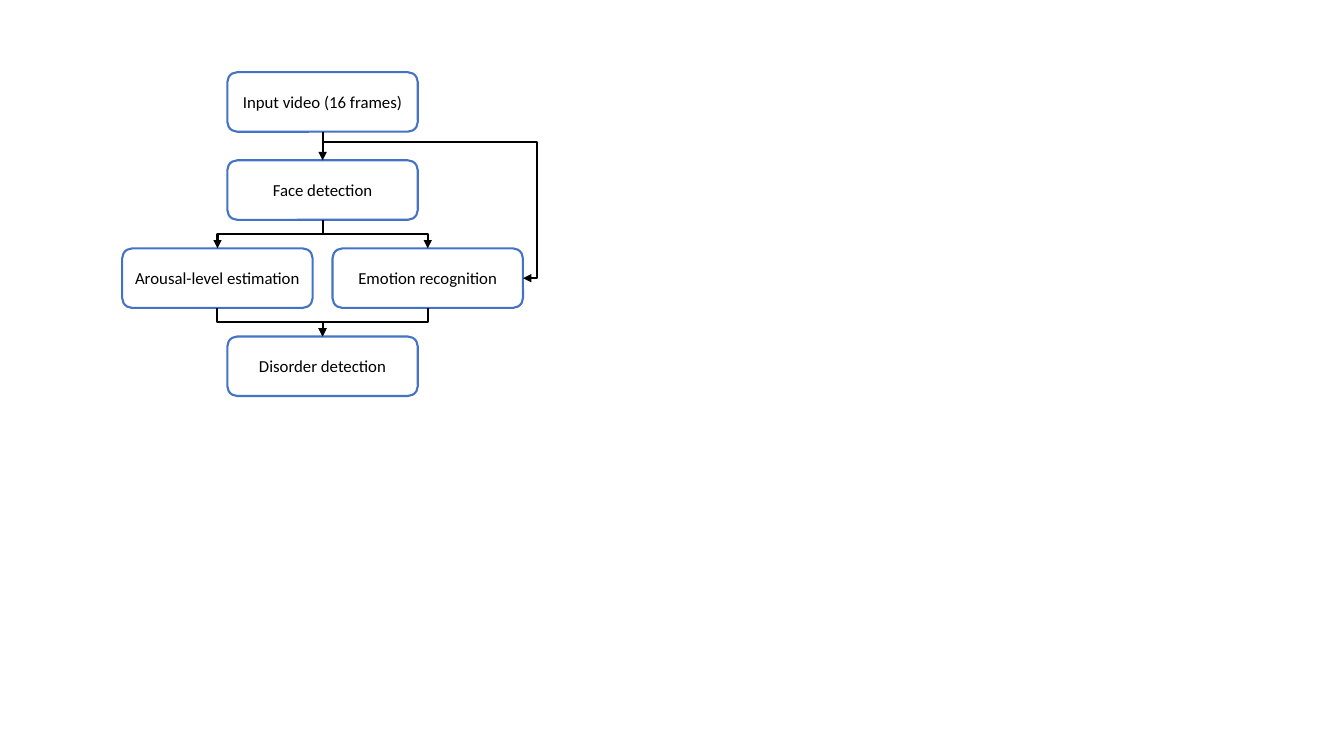
from lxml.etree import SubElement
from pptx import Presentation
from pptx.dml.color import RGBColor
from pptx.enum.shapes import MSO_CONNECTOR, MSO_SHAPE
from pptx.enum.text import MSO_ANCHOR, PP_ALIGN
from pptx.oxml.ns import qn
from pptx.util import Cm, Pt

# name: (text, column, row); column 0 is the centre
STEPS = {
    "input": ("Input video (16 frames)", 0, 0),
    "face": ("Face detection", 0, 1),
    "arousal": ("Arousal-level estimation", -1, 2),
    "emotion": ("Emotion recognition", 1, 2),
    "disorder": ("Disorder detection", 0, 3),
}
TOP, LEFT, BOTTOM, RIGHT = range(4)
# from, to, side entered, bend positions in thousandths of a percent
LINKS = [
    ("input", "face", TOP, ()),
    ("input", "emotion", RIGHT, (7000, 107100)),
    ("face", "arousal", TOP, (50000,)),
    ("face", "emotion", TOP, (50000,)),
    ("emotion", "disorder", TOP, (50000,)),
    ("arousal", "disorder", TOP, (50000,)),
]
BOX_W, BOX_H = 4.8, 1.5
MID_X, TOP_Y = 5.73, 1.82
STEP_X, STEP_Y = 2.65, 2.22
BLUE, BLACK = "4472C4", "000000"
FONT = {"name": "Calibri", "size": Pt(12)}
FRAME = {"word_wrap": True, "vertical_anchor": MSO_ANCHOR.MIDDLE}


def put(item, values):
    """Set each attribute named in values."""
    for name, value in values.items():
        setattr(item, name, value)


def tint(shade):
    return RGBColor.from_string(shade)


def stroke(line, shade):
    line.color.rgb = tint(shade)
    line.width = Pt(1.5)


def add_box(slide, text, col, row):
    box = slide.shapes.add_shape(
        MSO_SHAPE.ROUNDED_RECTANGLE,
        Cm(MID_X + col * STEP_X), Cm(TOP_Y + row * STEP_Y),
        Cm(BOX_W), Cm(BOX_H))
    box.shadow.inherit = False
    box.fill.background()
    stroke(box.line, BLUE)
    put(box.text_frame, FRAME)
    para = box.text_frame.paragraphs[0]
    para.text = text
    para.alignment = PP_ALIGN.CENTER
    put(para.font, FONT)
    para.font.color.rgb = tint(BLACK)
    return box


def bend(link, bends):
    """Turn an elbow so that it leaves downwards, and place its bends."""
    dx = link.end_x - link.begin_x
    dy = link.end_y - link.begin_y
    mid_x = (link.begin_x + link.end_x) // 2
    mid_y = (link.begin_y + link.end_y) // 2
    wide, high = abs(dy), abs(dx)
    put(link, {"left": mid_x - wide // 2, "top": mid_y - high // 2,
               "width": wide, "height": high})
    props = link._element.spPr
    frame = props.find(qn("a:xfrm"))
    turn = 270 if dx > 0 else 90
    for name, value in {"rot": turn * 60000, "flipH": int(dx > 0),
                        "flipV": 0}.items():
        frame.set(name, str(value))
    geom = props.find(qn("a:prstGeom"))
    geom.set("prst", f"bentConnector{len(bends) + 2}")
    guides = geom.find(qn("a:avLst"))
    if guides is None:
        guides = SubElement(geom, qn("a:avLst"))
    for num, place in enumerate(bends, 1):
        SubElement(guides, qn("a:gd"), name=f"adj{num}", fmla=f"val {place}")


def add_link(slide, start, end, side, bends):
    kind = MSO_CONNECTOR.ELBOW if bends else MSO_CONNECTOR.STRAIGHT
    link = slide.shapes.add_connector(kind, 0, 0, 0, 0)
    link.begin_connect(start, BOTTOM)
    link.end_connect(end, side)
    if bends:
        bend(link, bends)
    stroke(link.line, BLACK)
    SubElement(link.line._get_or_add_ln(), qn("a:tailEnd"), type="triangle")
    SubElement(link._element.spPr, qn("a:effectLst"))


def main():
    deck = Presentation()
    put(deck, {"slide_width": Cm(33.87), "slide_height": Cm(19.05)})
    slide = deck.slides.add_slide(deck.slide_layouts[6])
    boxes = {name: add_box(slide, *step) for name, step in STEPS.items()}
    for start, end, side, bends in LINKS:
        add_link(slide, boxes[start], boxes[end], side, bends)
    deck.save("out.pptx")


if __name__ == "__main__":
    main()
